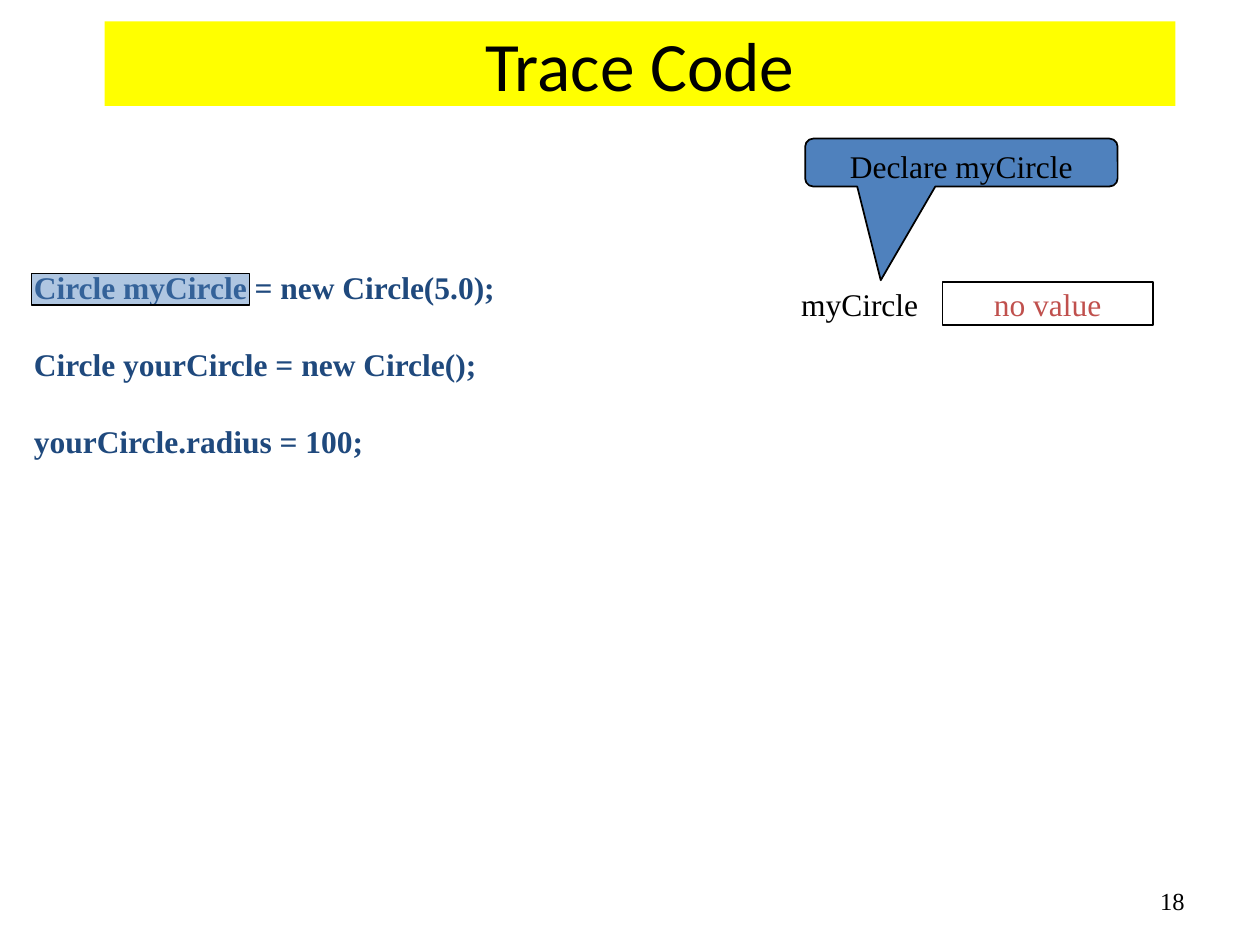
from dataclasses import dataclass

from lxml import etree
from pptx import Presentation
from pptx import util as u
from pptx.dml.color import RGBColor
from pptx.enum import shapes, text
from pptx.oxml.ns import qn


@dataclass(frozen=True)
class Theme:
    sans: str = "Calibri"
    serif: str = "Times New Roman"
    black: str = "000000"
    yellow: str = "FFFF00"
    blue: str = "4F81BD"
    navy: str = "1F497D"
    red: str = "C0504D"
    title: float = 39.6
    body: float = 18
    small: float = 14
    gap: float = 22.4
    line: float = 1


KIND = shapes.MSO_SHAPE
ALIGN = text.PP_ALIGN
ANCHOR = text.MSO_ANCHOR


class Deck:
    def __init__(self, theme):
        self.theme = theme
        self.prs = Presentation()
        self.prs.slide_width = u.Inches(10)
        self.prs.slide_height = u.Inches(7.5)
        self.slide = self.prs.slides.add_slide(self.prs.slide_layouts[6])

    def letter(self, shape, lines, align=ALIGN.LEFT, anchor=ANCHOR.TOP,
               wrap=True, inset=None, gap=0, **style):
        """Fill a shape with one paragraph per line."""
        frame = shape.text_frame
        form = {"word_wrap": wrap, "vertical_anchor": anchor}
        if inset is not None:
            for side in ("left", "top", "right", "bottom"):
                form[f"margin_{side}"] = u.Inches(inset)
        for name, value in form.items():
            setattr(frame, name, value)

        look = {"name": self.theme.serif, "size": self.theme.body,
                "color": self.theme.black, "bold": False} | style
        color = RGBColor.from_string(look.pop("color"))
        look["size"] = u.Pt(look["size"])
        for i, line in enumerate(lines):
            para = frame.add_paragraph() if i else frame.paragraphs[0]
            para.alignment = align
            para.space_before = u.Pt(gap if i else 0)
            run = para.add_run()
            run.text = line
            for name, value in look.items():
                setattr(run.font, name, value)
            run.font.color.rgb = color

    def label(self, box, *lines, **style):
        shape = self.slide.shapes.add_textbox(*map(u.Inches, box))
        self.letter(shape, lines, **style)

    def block(self, box, *lines, kind=KIND.RECTANGLE, fill=None, alpha=None,
              line=True, adjust=(), **style):
        shape = self.slide.shapes.add_shape(kind, *map(u.Inches, box))
        shape.shadow.inherit = False
        for i, value in enumerate(adjust):
            shape.adjustments[i] = value
        if fill:
            shape.fill.solid()
            shape.fill.fore_color.rgb = RGBColor.from_string(fill)
        else:
            shape.fill.background()
        if alpha is not None:
            tint = shape.element.spPr.find(qn("a:solidFill"))[0]
            etree.SubElement(tint, qn("a:alpha"), val=str(alpha * 1000))
        if line:
            shape.line.color.rgb = RGBColor.from_string(self.theme.black)
            shape.line.width = u.Pt(self.theme.line)
        else:
            shape.line.fill.background()
        if lines:
            self.letter(shape, lines, align=ALIGN.CENTER, **style)


def main():
    theme = Theme()
    deck = Deck(theme)

    # Title bar and slide number
    deck.block((0.83, 0.17, 8.5, 0.67), "Trace Code", fill=theme.yellow,
               line=False, anchor=ANCHOR.MIDDLE, name=theme.sans,
               size=theme.title)
    deck.label((7.17, 6.95, 2.33, 0.4), "18", align=ALIGN.RIGHT,
               anchor=ANCHOR.MIDDLE, size=theme.small)

    # Code with the current step marked
    deck.label((0.17, 2.08, 5.25, 1.6),
               "Circle myCircle = new Circle(5.0);",
               "Circle yourCircle = new Circle();",
               "yourCircle.radius = 100;",
               gap=theme.gap, color=theme.navy, bold=True)
    deck.block((0.25, 2.17, 1.73, 0.25), fill=theme.blue, alpha=45)

    # Callout that explains the step
    deck.block((6.39, 1.1, 2.48, 0.38), "Declare myCircle",
               kind=KIND.ROUNDED_RECTANGULAR_CALLOUT, fill=theme.blue,
               adjust=(-0.258, 2.459, 0.167))

    # Variable and its value
    deck.block((7.48, 2.24, 1.67, 0.34), "no value", anchor=ANCHOR.MIDDLE,
               wrap=False, inset=0.01, color=theme.red)
    deck.label((6.26, 2.21, 1.24, 0.4), "myCircle")

    deck.prs.save("out.pptx")


if __name__ == "__main__":
    main()
